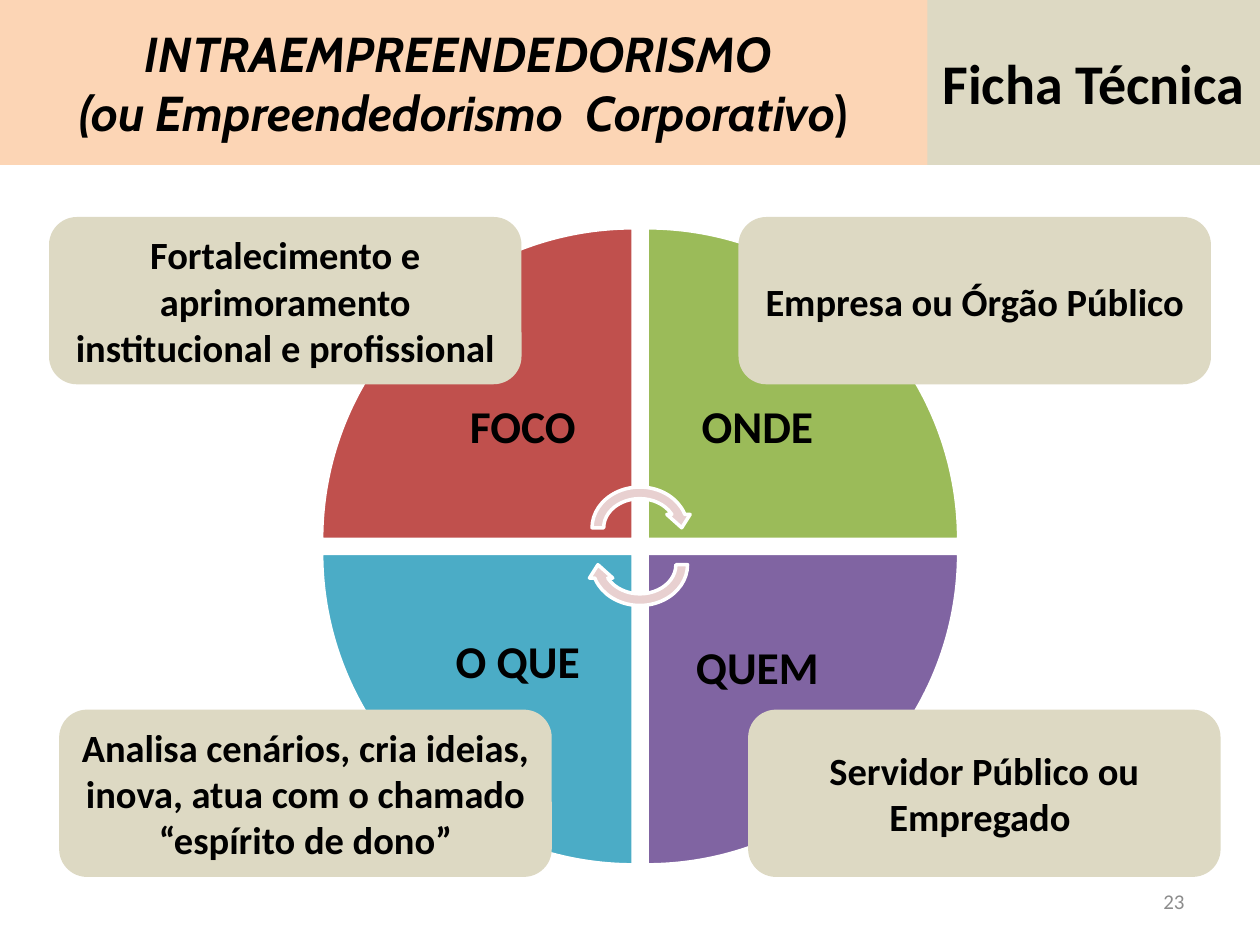
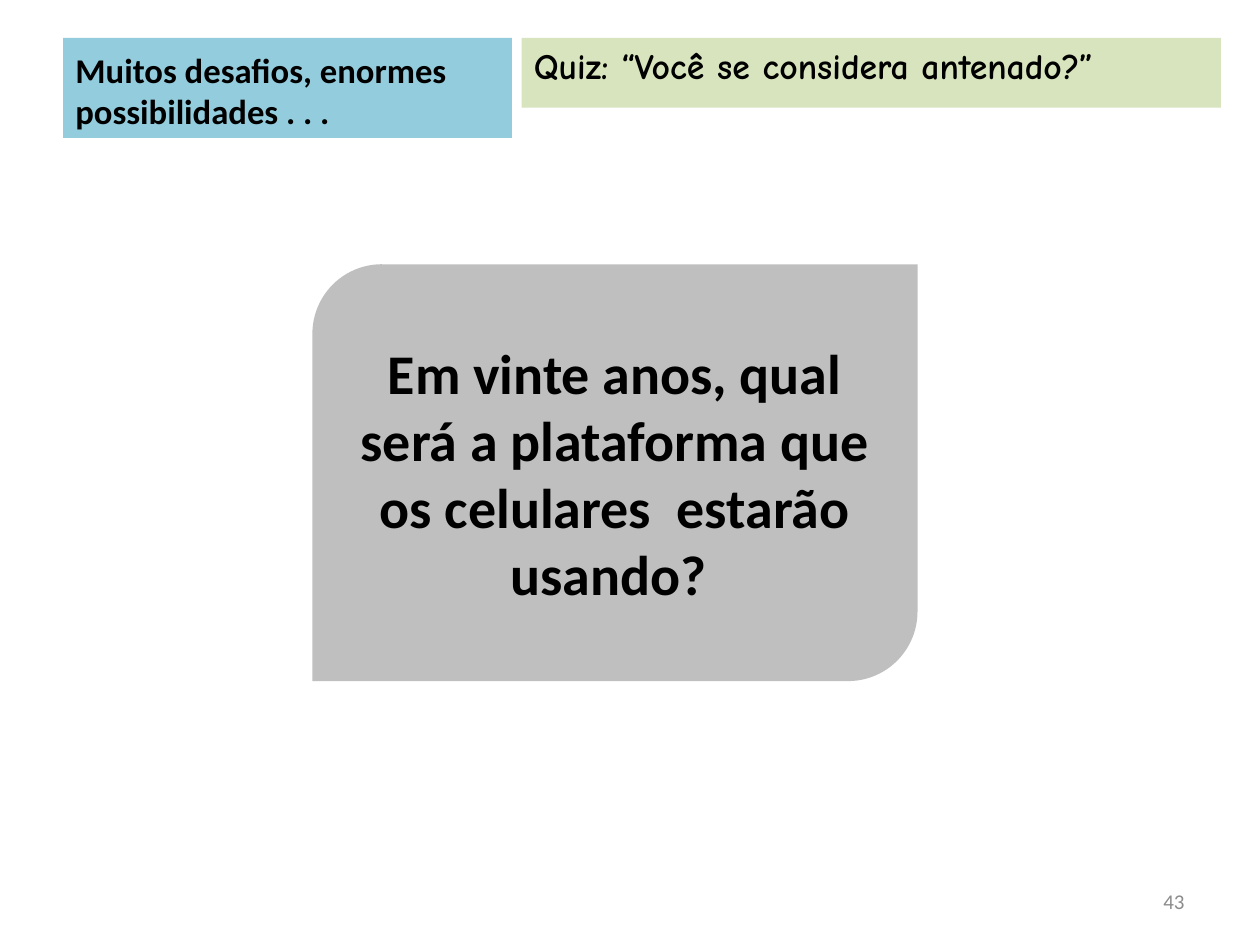
import pptx
import pptx.util
import pptx.dml.color
import pptx.enum.shapes
import pptx.enum.text

Pt = pptx.util.Pt
KIND = pptx.enum.shapes.MSO_SHAPE
ALIGN = pptx.enum.text.PP_ALIGN
ANCHOR = pptx.enum.text.MSO_ANCHOR

# Shared look
FONT = "Calibri"
BLACK, WHITE, GREY, SAND = "000000", "FFFFFF", "8C8C8C", "DDD9C3"
NUMBER = (516, 500.4, 168, 28.8)

# Slide 1; quadrants run clockwise from the top left
HEAD = [("INTRAEMPREENDEDORISMO \n(ou Empreendedorismo  Corporativo", True),
        (")", False)]
TAG = "Ficha Técnica"
# label, colour, label drop, note, note left, note width
PARTS = [
    ("FOCO", "C0504D", 0,
     "Fortalecimento e aprimoramento institucional e profissional", 28, 270),
    ("ONDE", "9BBB59", 0, "Empresa ou Órgão Público", 422, 270),
    ("QUEM", "8064A2", 3.5, "Servidor Público ou Empregado ", 427.5, 270),
    ("O QUE ", "4BACC6", 0,
     "Analisa cenários, cria ideias, inova, atua com o chamado "
     "“espírito de dono”", 33.8, 281.5),
]
WHEEL = (183.8, 130.2)
WEDGE, STEP, LABEL = 178, 186, 126
NOTE_TOPS, NOTE_TALL = (124, 405.5), 95.6
ARROWS = [(275, 0), (296, 180)]

# Slide 2
TITLE = "Muitos desafios, enormes possibilidades . . ."
QUIZ = "Quiz: “Você se considera antenado?”"
ASK = ("Em vinte anos, qual será a plataforma que os celulares  "
       "estarão usando? ")


def tint(text):
    return pptx.dml.color.RGBColor.from_string(text)


def shape(slide, kind, box, fill, line=None, turn=0):
    item = slide.shapes.add_shape(kind, *map(Pt, box))
    item.shadow.inherit = False
    item.rotation = turn
    item.fill.solid()
    item.fill.fore_color.rgb = tint(fill)
    if line:
        item.line.color.rgb = tint(line)
        item.line.width = Pt(2)
    else:
        item.line.fill.background()
    return item


def write(item, runs, size, font=FONT, color=BLACK, bold=True,
          align=ALIGN.CENTER, anchor=ANCHOR.MIDDLE):
    """Fill one paragraph; runs is a string or a list of (text, italic)."""
    frame = item.text_frame
    frame.word_wrap = True
    frame.vertical_anchor = anchor
    para = frame.paragraphs[0]
    para.alignment = align
    if isinstance(runs, str):
        runs = [(runs, False)]
    for text, italic in runs:
        for row, part in enumerate(text.split("\n")):
            if row:
                para.add_line_break()
            run = para.add_run()
            run.text = part
            run.font.name = font
            run.font.size = Pt(size)
            run.font.bold = bold
            run.font.italic = italic
            run.font.color.rgb = tint(color)
    return para


def label(slide, box, text):
    item = slide.shapes.add_textbox(*map(Pt, box))
    frame = item.text_frame
    frame.margin_left = frame.margin_right = Pt(14.4)
    frame.margin_top = frame.margin_bottom = Pt(14.4)
    write(item, text, 26).line_spacing = 0.9


def start(deck, number):
    """Add a blank slide with its page number."""
    slide = deck.slides.add_slide(deck.slide_layouts[6])
    item = slide.shapes.add_textbox(*map(Pt, NUMBER))
    write(item, number, 12, color=GREY, bold=False, align=ALIGN.RIGHT)
    return slide


def wheel(deck):
    slide = start(deck, "23")
    tag = shape(slide, KIND.FLOWCHART_PROCESS, (530, -0.7, 190, 95), SAND)
    write(tag, TAG, 32)

    spots = [(0, 0), (1, 0), (1, 1), (0, 1)]
    inset = WEDGE - LABEL
    for turn, ((col, row), part) in enumerate(zip(spots, PARTS)):
        text, color, drop = part[:3]
        left, top = WHEEL[0] + col * STEP, WHEEL[1] + row * STEP
        shape(slide, KIND.PIE_WEDGE, (left, top, WEDGE, WEDGE), color,
              WHITE, turn * 90)
        # Labels hug the hub of the wheel
        label(slide, (left + (1 - col) * inset,
                      top + (1 - row) * inset + drop, LABEL, LABEL), text)
    for top, turn in ARROWS:
        shape(slide, KIND.CIRCULAR_ARROW, (335, top, 61.2, 53.3), "E8D0D0",
              WHITE, turn)
    for (col, row), (*_, note, left, wide) in zip(spots, PARTS):
        box = (left, NOTE_TOPS[row], wide, NOTE_TALL)
        write(shape(slide, KIND.ROUNDED_RECTANGLE, box, SAND), note, 22)

    head = shape(slide, KIND.RECTANGLE, (0, 0, 530, 94.3), "FCD5B5")
    write(head, HEAD, 28, "Cabin")


def quiz(deck):
    slide = start(deck, "43")
    title = shape(slide, KIND.RECTANGLE, (36, 21.6, 256.5, 57.2), "93CDDD")
    write(title, TITLE, 19.8, align=ALIGN.LEFT, anchor=ANCHOR.BOTTOM)
    band = shape(slide, KIND.RECTANGLE, (298, 21.6, 399.6, 40), "D7E4BD")
    para = write(band, QUIZ, 20.4, "Comic Neue", align=ALIGN.LEFT,
                 anchor=ANCHOR.TOP)
    para.space_before = Pt(4)
    card = shape(slide, KIND.ROUND_2_DIAG_RECTANGLE,
                 (178.5, 151, 345.8, 238.2), "BFBFBF")
    write(card, ASK, 32)


def main():
    deck = pptx.Presentation()
    deck.slide_width, deck.slide_height = Pt(720), Pt(540)
    wheel(deck)
    quiz(deck)
    deck.save("out.pptx")


if __name__ == "__main__":
    main()
